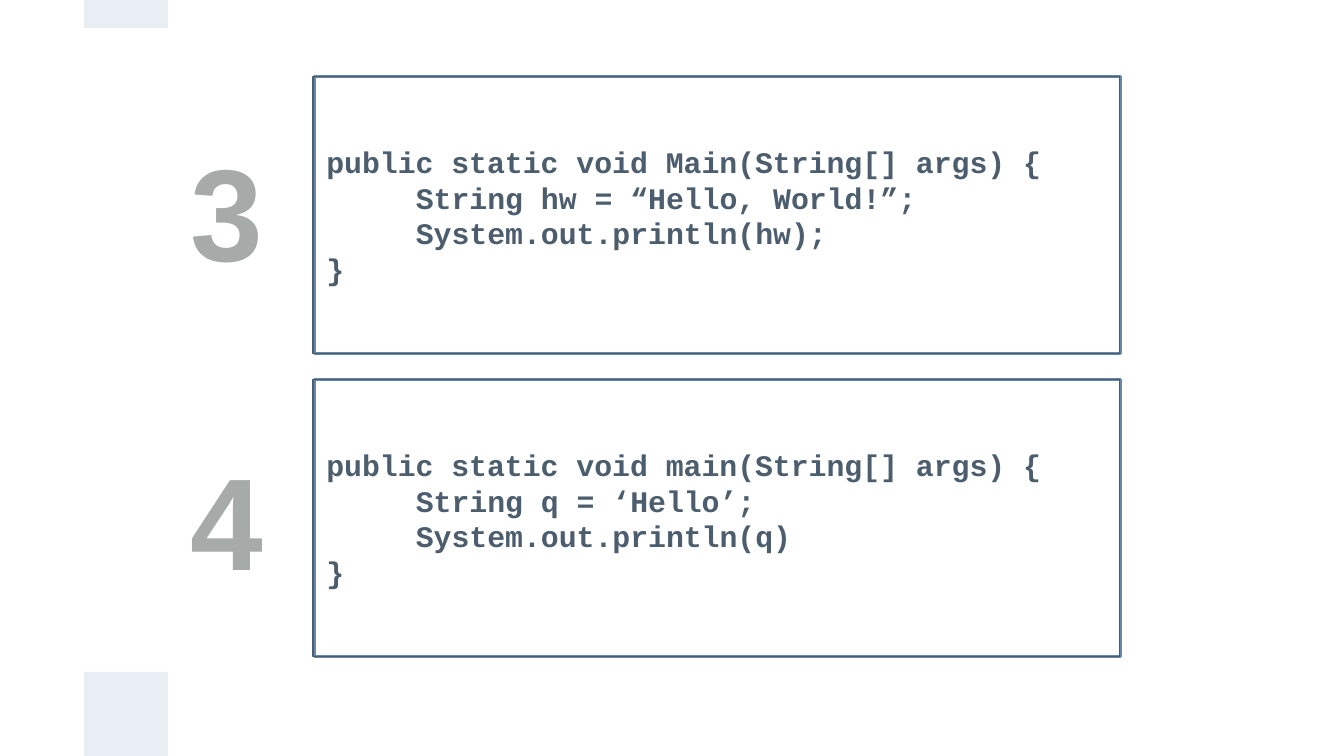
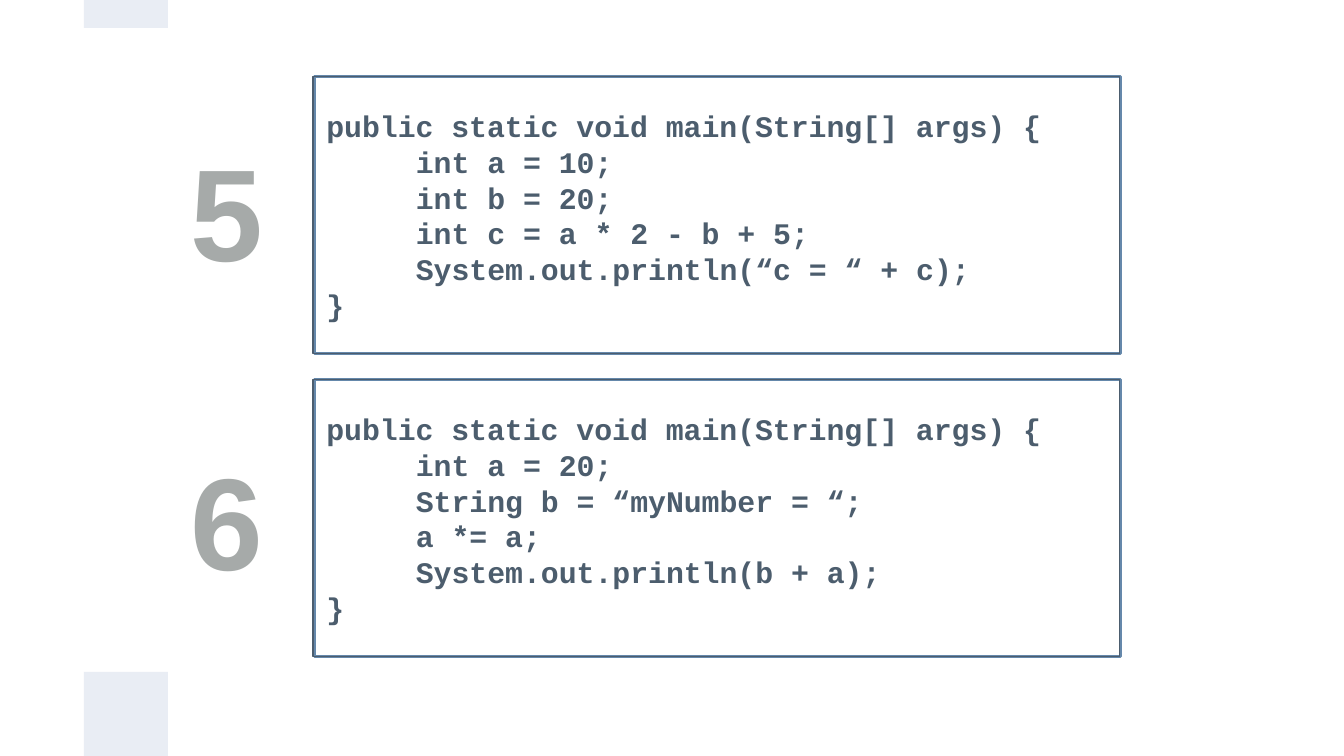
from pptx import Presentation, util as u
from pptx.dml.color import RGBColor
from pptx.enum import shapes, text

HUES = {"band": "E9EDF4", "edge": "6588AB", "frame": "4C5D6E",
        "code": "4C5D6D", "digit": "A6AAA9"}
WIDE, HIGH = 10, 5.625
COL = WIDE / 16               # side of the square grid
LEFT, TOP = 2.33, 0.57        # first code box
BOX_W, BOX_H = 6, 2.06
STEP = 2.255                  # from one code box to the next
TAB = 5 * 9.6                 # five code characters, in points

# Each slide: (number, code lines with their indent level)
HEAD = (0, "public static void main(String[] args) {")
TAIL = (0, "}")
SLIDES = [
    [("3", [(0, "public static void Main(String[] args) {"),
            (1, "String hw = “Hello, World!”;"),
            (1, "System.out.println(hw);"), TAIL]),
     ("4", [HEAD,
            (1, "String q = ‘Hello’;"),
            (1, "System.out.println(q)"), TAIL])],
    [("5", [HEAD,
            (1, "int a = 10;"),
            (1, "int b = 20;"),
            (1, "int c = a * 2 - b + 5;"),
            (1, "System.out.println(“c = “ + c);"), TAIL]),
     ("6", [HEAD,
            (1, "int a = 20;"),
            (1, "String b = “myNumber = “;"),
            (1, "a *= a;"),
            (1, "System.out.println(b + a);"), TAIL])],
]


def add_box(page, x, y, w, h, fill=None, line=None, width=1):
    """Add a plain rectangle, sizes in inches, and return it."""
    box = page.shapes.add_shape(shapes.MSO_SHAPE.RECTANGLE,
                                *[u.Inches(n) for n in (x, y, w, h)])
    box.shadow.inherit = False
    for part, hue in ((box.fill, fill), (box.line.fill, line)):
        if hue:
            part.solid()
            part.fore_color.rgb = RGBColor.from_string(HUES[hue])
        else:
            part.background()
    if line:
        box.line.width = u.Pt(width)
    return box


def add_text(box, lines, face, size, hue, align):
    """Write bold (level, words) lines, centred in height, into a box."""
    frame = box.text_frame
    frame.word_wrap = True
    frame.vertical_anchor = text.MSO_ANCHOR.MIDDLE
    frame.margin_left = frame.margin_right = u.Inches(0.1)
    frame.margin_top = frame.margin_bottom = u.Inches(0.1)
    for i, (level, words) in enumerate(lines):
        para = frame.add_paragraph() if i else frame.paragraphs[0]
        para.alignment = align
        if level:
            para._p.get_or_add_pPr().set("marL", str(u.Pt(level * TAB)))
        run = para.add_run()
        run.text = words
        run.font.name, run.font.size, run.font.bold = face, u.Pt(size), True
        run.font.color.rgb = RGBColor.from_string(HUES[hue])


prs = Presentation()
prs.slide_width, prs.slide_height = u.Inches(WIDE), u.Inches(HIGH)
blank = prs.slide_layouts[6]
pages = [prs.slides.add_slide(blank) for _ in SLIDES]

# The bands belong to the layout, so every slide shows them
for y, h in ((HIGH - COL, COL), (0, COL / 3)):
    band = add_box(pages[0], COL, y, COL, h, fill="band")
    blank.shapes.element.append(band.element)

for page, items in zip(pages, SLIDES):
    for row, (digit, code) in enumerate(items):
        y = TOP + row * STEP
        add_box(page, LEFT + 0.01, y, BOX_W, BOX_H, line="edge", width=1.5)
        box = add_box(page, LEFT, y, BOX_W, BOX_H, line="frame", width=0.74)
        add_text(box, code, "Courier New", 16, "code", text.PP_ALIGN.LEFT)
    for row, (digit, code) in enumerate(items):
        y = 0.53 + row * 2.3
        label = page.shapes.add_textbox(
            *[u.Inches(n) for n in (1.19, y, 0.99, BOX_H)])
        add_text(label, [(0, digit)], "Arial", 70, "digit",
                 text.PP_ALIGN.CENTER)

prs.save("out.pptx")
